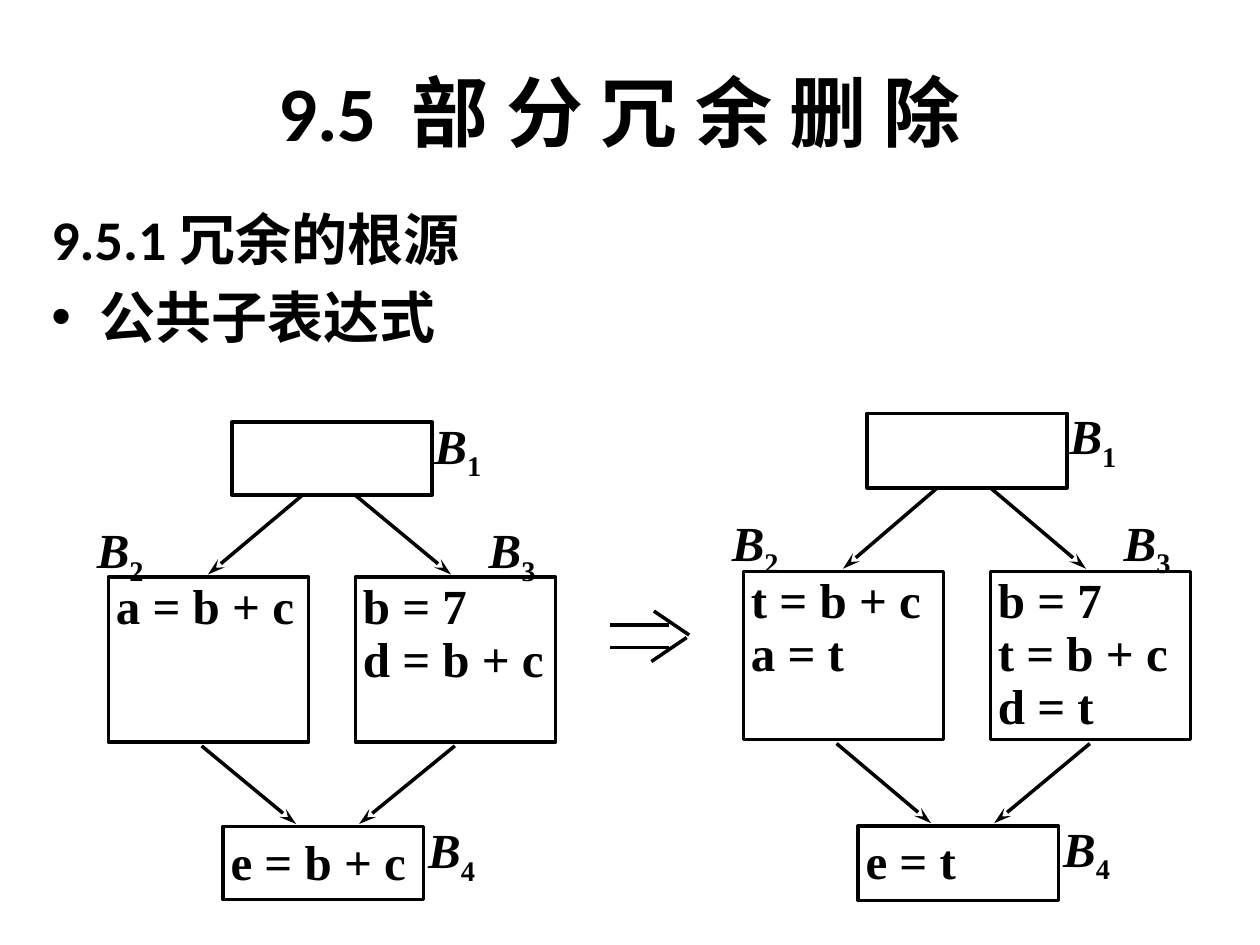
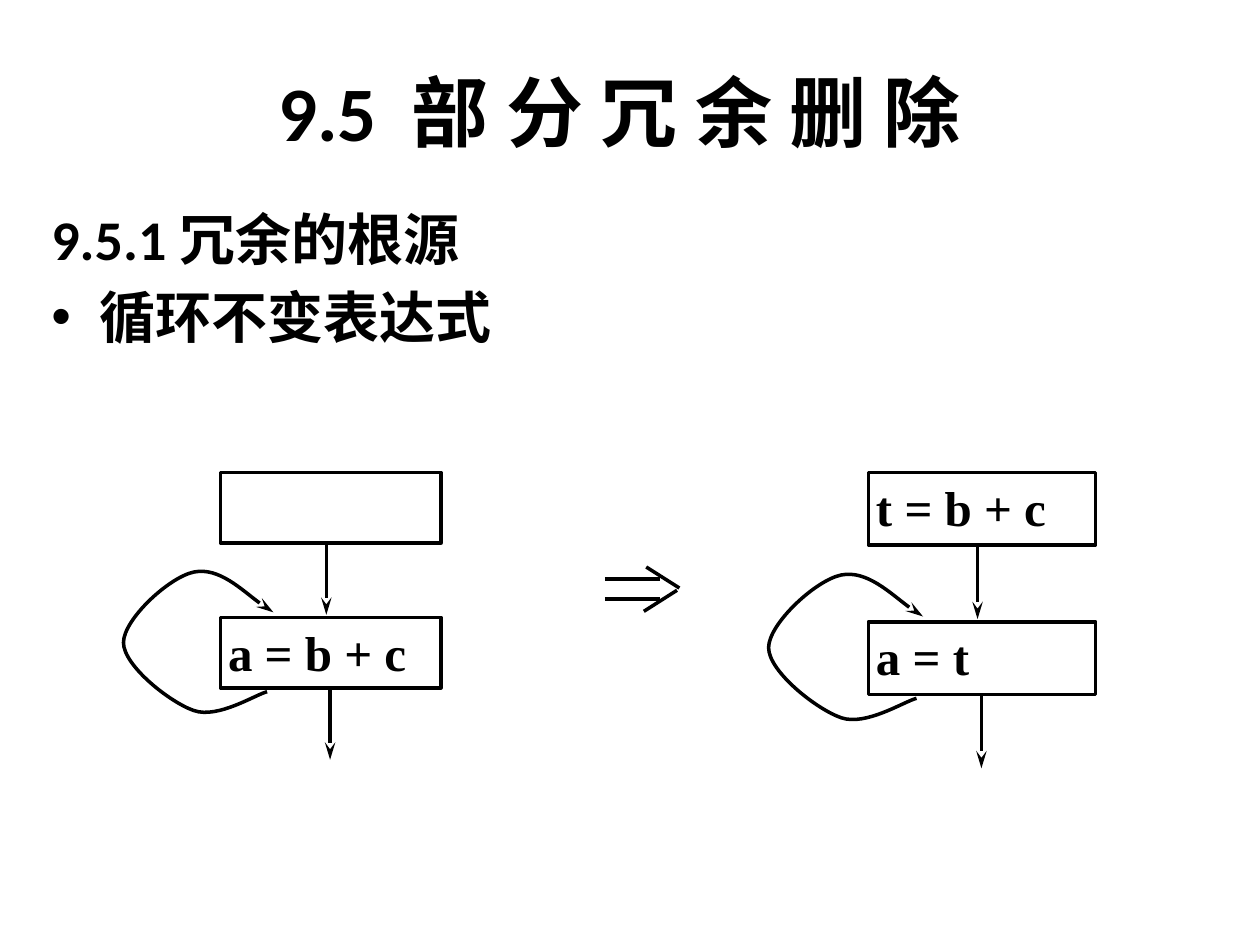
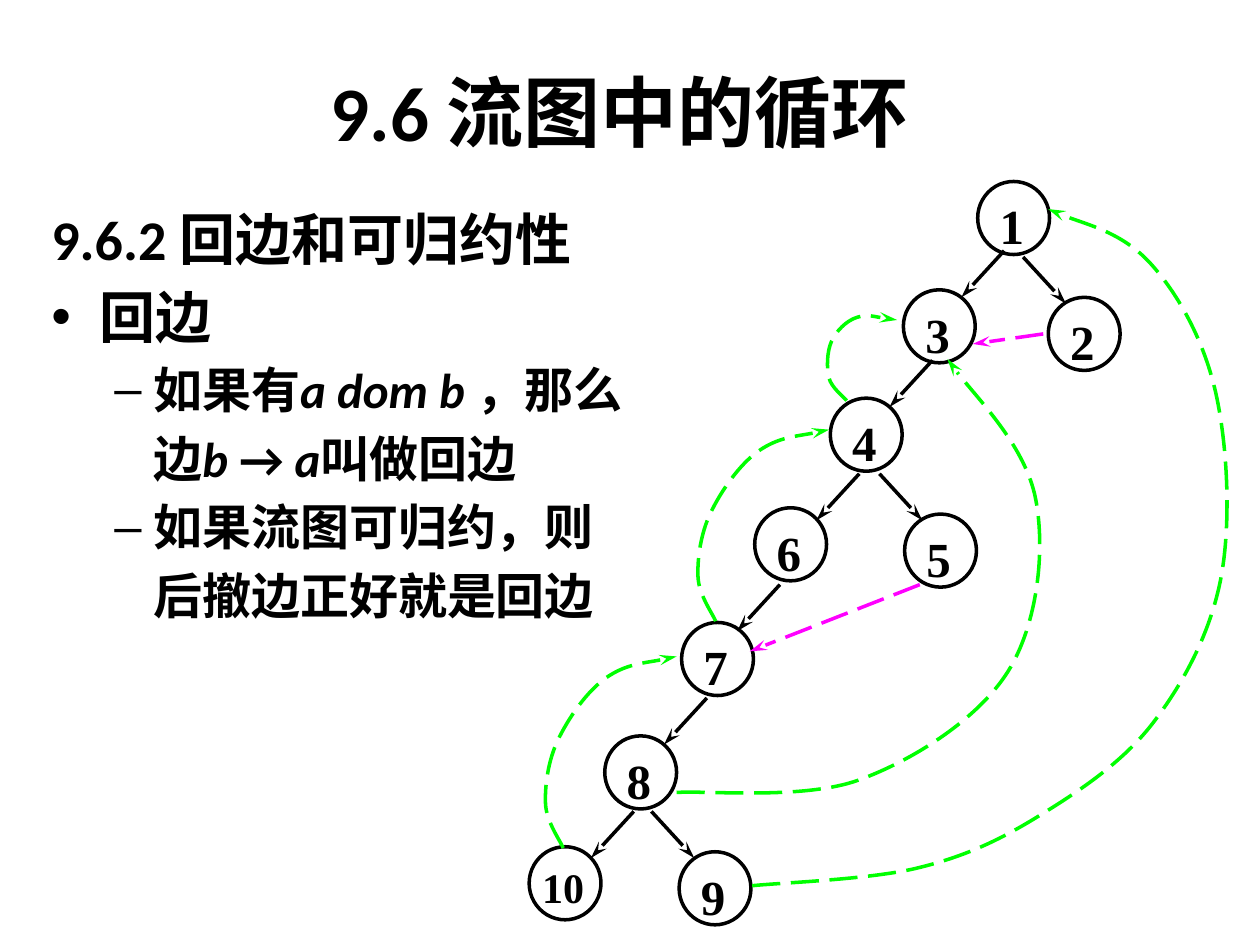
from dataclasses import dataclass

from lxml.etree import SubElement
from pptx import Presentation
from pptx.dml.color import RGBColor
from pptx.enum.dml import MSO_LINE
from pptx.enum.shapes import MSO_CONNECTOR, MSO_SHAPE
from pptx.enum.text import MSO_ANCHOR, PP_ALIGN
from pptx.oxml.ns import qn
from pptx.util import Inches, Pt

BLACK, GREEN, MAGENTA = "000000", "00FF00", "FF00FF"
HEADING_FONT, CHINESE_FONT, CODE_FONT = "Calibri", "Noto Sans CJK SC", "Times New Roman"
CODE_INSETS = (0.06, 0.04, 0.06, 0.04)
TEXT_INSETS = (0.1, 0.05, 0.1, 0.05)
NODE_INSETS = (0.09, 0.03, 0.1, 0.05)
WIDE_NODE_INSETS = (0.02, 0.03, 0.02, 0.05)
NODE_SIZE = (0.57, 0.58)


@dataclass
class Frame:
    """Places a diagram drawn in its own coordinates on the slide."""
    left: float = 0
    top: float = 0
    scale_x: float = 1
    scale_y: float = 1

    def point(self, x, y):
        return (Inches(self.left + x * self.scale_x),
                Inches(self.top + y * self.scale_y))

    def box(self, x, y, width, height):
        return (*self.point(x, y), Inches(width * self.scale_x),
                Inches(height * self.scale_y))


PAGE = Frame()


def color(value):
    return RGBColor.from_string(value)


# Text
def add_run(paragraph, text, size, font, italic=False, subscript=False):
    run = paragraph.add_run()
    run.text = text
    run.font.size = Pt(size)
    run.font.name = font
    run.font.bold = True
    run.font.italic = italic
    run.font.color.rgb = color(BLACK)
    properties = run.font._element
    SubElement(properties, qn("a:ea")).set("typeface", HEADING_FONT)
    if subscript:
        properties.set("baseline", "-25000")


def set_frame(shape, insets, anchor=MSO_ANCHOR.TOP):
    frame = shape.text_frame
    frame.word_wrap = True
    frame.vertical_anchor = anchor
    (frame.margin_left, frame.margin_top,
     frame.margin_right, frame.margin_bottom) = map(Inches, insets)
    return frame


def next_paragraph(frame, index):
    return frame.add_paragraph() if index else frame.paragraphs[0]


def set_indent(paragraph, left, hanging, bullet=None):
    properties = paragraph._p.get_or_add_pPr()
    properties.set("marL", str(Inches(left)))
    properties.set("indent", str(-Inches(hanging)))
    if bullet:
        SubElement(properties, qn("a:buFont")).set("typeface", "Arial")
        SubElement(properties, qn("a:buChar")).set("char", bullet)


def add_title(slide, number, text):
    box = slide.shapes.add_textbox(*PAGE.box(0.42, 0.25, 9, 1.25))
    paragraph = set_frame(box, TEXT_INSETS, MSO_ANCHOR.MIDDLE).paragraphs[0]
    paragraph.alignment = PP_ALIGN.CENTER
    add_run(paragraph, number, 44, HEADING_FONT)
    add_run(paragraph, text, 44, CHINESE_FONT)


def add_body(slide, items):
    """Each item is (level, bullet, runs); a run is (text, italic)."""
    box = slide.shapes.add_textbox(*PAGE.box(0.31, 1.57, 9.37, 5.51))
    frame = set_frame(box, TEXT_INSETS)
    for index, (level, bullet, runs) in enumerate(items):
        paragraph = next_paragraph(frame, index)
        size = 28 if level else 32
        paragraph.level = level
        paragraph.space_before = Pt(size * 0.2)
        set_indent(paragraph, *((0.81, 0.31) if level else (0.38, 0.38)), bullet)
        for text, italic in runs:
            add_run(paragraph, text, size, HEADING_FONT, italic)


def add_code(shape, lines, insets=CODE_INSETS, size=28, spacing=None):
    frame = set_frame(shape, insets)
    for index, text in enumerate(lines):
        paragraph = next_paragraph(frame, index)
        paragraph.alignment = PP_ALIGN.JUSTIFY
        paragraph.line_spacing = spacing
        set_indent(paragraph, 0.38, 0.38)
        add_run(paragraph, text, size, CODE_FONT)


def add_block_label(slide, frame, x, y, number):
    box = slide.shapes.add_textbox(*frame.box(x, y, 0.83, 0.76))
    paragraph = set_frame(box, TEXT_INSETS).paragraphs[0]
    paragraph.alignment = PP_ALIGN.JUSTIFY
    paragraph.line_spacing = 1.24
    set_indent(paragraph, 0.38, 0.38)
    add_run(paragraph, "B", 28, CODE_FONT, italic=True)
    add_run(paragraph, number, 28, CODE_FONT, subscript=True)


# Outlines, lines and curves
def style_line(shape, line_color=BLACK, arrow=False):
    shape.line.color.rgb = color(line_color)
    shape.line.width = Pt(2)
    if line_color != BLACK:
        shape.line.dash_style = MSO_LINE.LONG_DASH
    if arrow:
        outline = shape._element.spPr.find(qn("a:ln"))
        head = SubElement(outline, qn("a:tailEnd"))
        for name, value in (("type", "stealth"), ("w", "med"), ("len", "lg")):
            head.set(name, value)


def add_outline(slide, kind, box):
    shape = slide.shapes.add_shape(kind, *box)
    shape.shadow.inherit = False
    shape.fill.background()
    style_line(shape)
    return shape


def add_line(slide, frame, start, end, line_color=BLACK, arrow=True):
    line = slide.shapes.add_connector(
        MSO_CONNECTOR.STRAIGHT, *frame.point(*start), *frame.point(*end))
    style_line(line, line_color, arrow)
    SubElement(line._element.spPr, qn("a:effectLst"))


def spline_points(knots):
    """Control points and ends of a smooth curve through the knots."""
    padded = [knots[0], *knots, knots[-1]]
    points = []
    for before, start, end, after in zip(padded, knots, knots[1:], padded[3:]):
        points.append([s + (e - b) / 6 for b, s, e in zip(before, start, end)])
        points.append([e - (a - s) / 6 for s, e, a in zip(start, end, after)])
        points.append(end)
    return points


def add_curve(slide, frame, knots, line_color=BLACK):
    builder = slide.shapes.build_freeform(*frame.point(*knots[0]))
    builder.add_line_segments(
        [frame.point(*point) for point in spline_points(knots)], close=False)
    curve = builder.convert_to_shape()
    # Turn each three straight segments into one Bezier segment
    segments = curve._element.xpath(".//a:lnTo")
    for index in range(0, len(segments), 3):
        outline = segments[index].getparent()
        bezier = SubElement(outline, qn("a:cubicBezTo"))
        for segment in segments[index:index + 3]:
            bezier.append(segment[0])
            outline.remove(segment)
    curve.shadow.inherit = False
    curve.fill.background()
    style_line(curve, line_color, arrow=True)


def add_implies_sign(slide, frame):
    for start, end in (((0, 0.29), (0.47, 0.29)), ((0, 0.11), (0.47, 0.11)),
                       ((0.33, 0.4), (0.61, 0.21)), ((0.35, 0), (0.63, 0.19))):
        add_line(slide, frame, start, end, arrow=False)


# Diagrams
def add_branch_graph(slide, frame, left_code, right_code, last_code):
    blocks = ((0.98, 0, 0.58, [], None),
              (0, 1.23, 1.31, left_code, 0.9),
              (1.96, 1.23, 1.31, right_code, 0.9),
              (0.91, 3.21, 0.58, last_code, None))
    labels = ((2.49, -0.23), (-0.19, 0.6), (2.92, 0.6), (2.44, 2.98))
    for number, (x, y) in enumerate(labels, 1):
        add_block_label(slide, frame, x, y, str(number))
    for x, y, height, code, spacing in blocks:
        block = add_outline(slide, MSO_SHAPE.RECTANGLE, frame.box(x, y, 1.59, height))
        add_code(block, code, spacing=spacing)
    for start, end in (((1.54, 0.58), (0.79, 1.21)), ((1.96, 0.58), (2.72, 1.21)),
                       ((2.75, 2.57), (1.99, 3.19)), ((0.74, 2.57), (1.49, 3.19))):
        add_line(slide, frame, start, end)


def add_loop_graph(slide, frame, entry_code, loop_code):
    for y, code in ((0, entry_code), (1.15, loop_code)):
        block = add_outline(slide, MSO_SHAPE.RECTANGLE, frame.box(0.77, y, 1.75, 0.56))
        add_code(block, code)
    for x, y in ((1.61, 0.57), (1.64, 1.72)):
        add_line(slide, frame, (x, y), (x, y + 0.56))
    add_curve(slide, frame, [(1.14, 1.74), (0.56, 1.89), (0, 1.35),
                             (0.56, 0.79), (1.19, 1.11)])


def add_flow_tree(slide):
    nodes = {1: (7.76, 1.44), 2: (8.32, 2.36), 3: (7.17, 2.3), 4: (6.59, 3.16),
             5: (7.18, 4.08), 6: (5.99, 4.03), 7: (5.41, 4.94), 8: (4.8, 5.84),
             9: (5.39, 6.76), 10: (4.2, 6.72)}
    for number, place in nodes.items():
        node = add_outline(slide, MSO_SHAPE.OVAL, PAGE.box(*place, *NODE_SIZE))
        wide = number > 9
        add_code(node, [str(number)], WIDE_NODE_INSETS if wide else NODE_INSETS,
                 24 if wide else 28)

    # Tree edges, all of one length, going down to the left or right
    left_starts = ((7.97, 1.99), (7.4, 2.86), (6.82, 3.76), (6.19, 4.64),
                   (5.61, 5.54), (5.03, 6.44))
    right_starts = ((8.12, 2.04), (6.98, 3.76), (5.17, 6.44))
    for starts, step in ((left_starts, -0.34), (right_starts, 0.34)):
        for x, y in starts:
            add_line(slide, PAGE, (x, y), (x + step, y + 0.37))

    # Cross edges
    add_line(slide, PAGE, (7.3, 4.64), (5.95, 5.17), MAGENTA)
    add_line(slide, PAGE, (8.28, 2.65), (7.72, 2.73), MAGENTA)

    # Back edges; 10 to 7 and 7 to 4 have the same shape
    side_loop = [(0.15, 1.52), (0.01, 1.17), (0.11, 0.66), (0.49, 0.17), (1.05, 0)]
    for frame in (Frame(4.32, 5.21), Frame(5.53, 3.41)):
        add_curve(slide, frame, side_loop, GREEN)
    for knots in (
        [(6.72, 3.18), (6.58, 3), (6.6, 2.71), (6.8, 2.52), (7.12, 2.54)],
        [(5.37, 6.29), (6.82, 6.19), (8, 5.33), (8.22, 3.96), (7.52, 2.85)],
        [(5.97, 7.03), (7.28, 6.89), (8.24, 6.48), (9.15, 5.74),
         (9.69, 4.59), (9.65, 3.12), (9.13, 2.09), (8.32, 1.66)],
    ):
        add_curve(slide, PAGE, knots, GREEN)


# Slides
def add_redundancy_slide(presentation, topic):
    slide = presentation.slides.add_slide(presentation.slide_layouts[6])
    add_title(slide, "9.5  ", "部 分 冗 余 删 除")
    add_body(slide, [(0, None, [("9.5.1 冗余的根源", False)]),
                     (0, "•", [(topic, False)])])
    return slide


def add_back_edge_slide(presentation):
    slide = presentation.slides.add_slide(presentation.slide_layouts[6])
    add_title(slide, "9.6 ", "流图中的循环")
    add_body(slide, [
        (0, None, [("9.6.2 回边和可归约性", False)]),
        (0, "•", [("回边", False)]),
        (1, "–", [("如果有", False), ("a dom b", True), (" ，那么", False)]),
        (1, None, [("\t边", False), ("b ", True), ("→ ", False), ("a", True),
                   ("叫做回边", False)]),
        (1, "–", [("如果流图可归约，则", False)]),
        (1, None, [("\t后撤边正好就是回边", False)]),
    ])
    add_flow_tree(slide)


def main():
    presentation = Presentation()
    presentation.slide_width, presentation.slide_height = Inches(10), Inches(7.5)

    slide = add_redundancy_slide(presentation, "公共子表达式")
    add_branch_graph(slide, Frame(0.86, 3.35), ["a = b + c"],
                     ["b = 7", "d = b + c"], ["e = b + c"])
    add_branch_graph(slide, Frame(5.9, 3.28, 1, 1.02), ["t = b + c", "a = t"],
                     ["b = 7", "t = b + c", "d = t"], ["e = t"])
    add_implies_sign(slide, Frame(4.84, 4.85))

    slide = add_redundancy_slide(presentation, "循环不变表达式")
    add_loop_graph(slide, Frame(0.98, 3.75), [], ["a = b + c"])
    add_loop_graph(slide, Frame(6.1, 3.75, 1.03, 1.03), ["t = b + c"], ["a = t"])
    add_implies_sign(slide, Frame(4.8, 4.5, 0.94, 0.88))

    add_back_edge_slide(presentation)
    presentation.save("out.pptx")


main()
